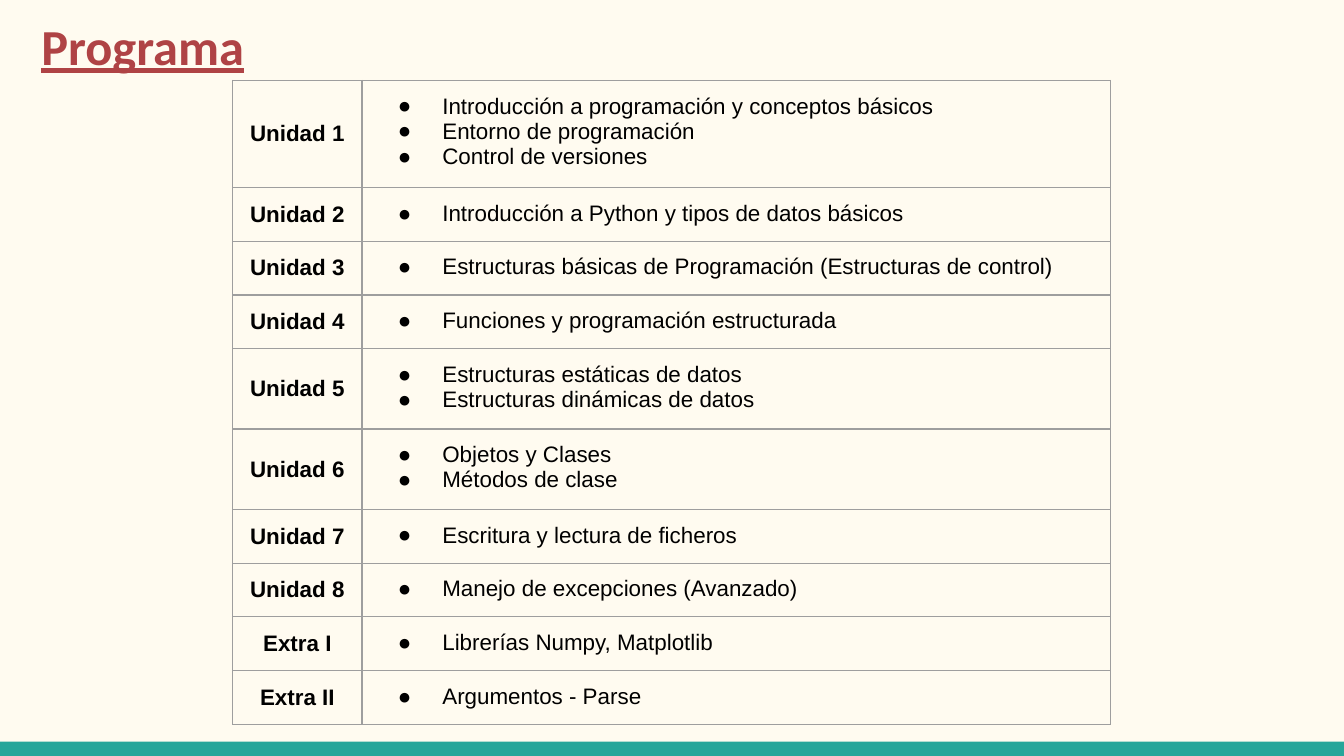
from lxml.etree import SubElement
from pptx import Presentation
from pptx.dml.color import RGBColor
from pptx.enum.shapes import MSO_SHAPE
from pptx.enum.text import MSO_ANCHOR, PP_ALIGN
from pptx.oxml.ns import qn
from pptx.util import Cm, Pt

COLORS = {
    "background": "FFFBF0",
    "band": "26A69A",
    "title": "AF4345",
    "text": "000000",
    "border": "9E9E9E",
}
PROGRAM = [
    ("Unidad 1", ["Introducción a programación y conceptos básicos",
                  "Entorno de programación",
                  "Control de versiones"]),
    ("Unidad 2", ["Introducción a Python y tipos de datos básicos"]),
    ("Unidad 3", ["Estructuras básicas de Programación (Estructuras de control)"]),
    ("Unidad 4", ["Funciones y programación estructurada"]),
    ("Unidad 5", ["Estructuras estáticas de datos", "Estructuras dinámicas de datos"]),
    ("Unidad 6", ["Objetos y Clases", "Métodos de clase"]),
    ("Unidad 7", ["Escritura y lectura de ficheros"]),
    ("Unidad 8", ["Manejo de excepciones (Avanzado)"]),
    ("Extra I", ["Librerías Numpy, Matplotlib"]),
    ("Extra II", ["Argumentos - Parse"]),
]
COLUMN_WIDTHS = [Cm(2.44), Cm(14.15)]
INSET = Cm(0.25)


def add_bullet(paragraph):
    properties = paragraph._p.get_or_add_pPr()
    properties.set("marL", str(Cm(1.27)))
    properties.set("indent", str(-Cm(0.84)))
    color = SubElement(properties, qn("a:buClr"))
    SubElement(color, qn("a:srgbClr"), val=COLORS["text"])
    SubElement(properties, qn("a:buFont"), typeface="Arial")
    SubElement(properties, qn("a:buChar"), char="●")


def add_borders(cell):
    properties = cell._tc.get_or_add_tcPr()
    for side in ("a:lnL", "a:lnR", "a:lnT", "a:lnB"):
        line = SubElement(properties, qn(side), w=str(Pt(0.75)))
        fill = SubElement(line, qn("a:solidFill"))
        SubElement(fill, qn("a:srgbClr"), val=COLORS["border"])


prs = Presentation()
prs.slide_width, prs.slide_height = Cm(25.4), Cm(14.29)
slide = prs.slides.add_slide(prs.slide_layouts[5])
slide.background.fill.solid()
slide.background.fill.fore_color.rgb = RGBColor.from_string(COLORS["background"])

# Title
title = slide.shapes.title
title.left, title.top, title.width, title.height = Cm(0.53), Cm(0), Cm(23.67), Cm(1.7)
frame = title.text_frame
frame.text = "Programa"
frame.vertical_anchor = MSO_ANCHOR.MIDDLE
frame.margin_left = frame.margin_right = frame.margin_top = frame.margin_bottom = INSET
heading = frame.paragraphs[0]
heading.alignment = PP_ALIGN.LEFT
heading.font.name = "Calibri"
heading.font.size = Pt(27)
heading.font.bold = heading.font.underline = True
heading.font.color.rgb = RGBColor.from_string(COLORS["title"])

# Bottom band
band = slide.shapes.add_shape(MSO_SHAPE.RECTANGLE, Cm(0), Cm(14.02), prs.slide_width, Cm(0.27))
band.shadow.inherit = False
band.fill.solid()
band.fill.fore_color.rgb = RGBColor.from_string(COLORS["band"])
band.line.fill.background()

# Programme table: each row grows with its number of topics
row_heights = [Cm(0.51 + 0.505 * len(topics)) for _, topics in PROGRAM]
program = slide.shapes.add_table(len(PROGRAM), 2, Cm(4.4), Cm(1.52),
                                 sum(COLUMN_WIDTHS), sum(row_heights)).table
program.first_row = program.horz_banding = False
for column, width in zip(program.columns, COLUMN_WIDTHS):
    column.width = width

for row, height, (unit, topics) in zip(program.rows, row_heights, PROGRAM):
    row.height = height
    unit_cell, topics_cell = row.cells
    unit_cell.text = unit
    unit_cell.vertical_anchor = MSO_ANCHOR.MIDDLE
    unit_cell.text_frame.paragraphs[0].alignment = PP_ALIGN.CENTER
    topics_cell.text = "\n".join(topics)
    for topic in topics_cell.text_frame.paragraphs:
        add_bullet(topic)

    for cell, bold in ((unit_cell, True), (topics_cell, False)):
        cell.margin_left = cell.margin_right = cell.margin_top = cell.margin_bottom = INSET
        add_borders(cell)
        cell.fill.background()
        for paragraph in cell.text_frame.paragraphs:
            paragraph.font.name = "Arial"
            paragraph.font.size = Pt(12)
            paragraph.font.bold = bold
            paragraph.font.color.rgb = RGBColor.from_string(COLORS["text"])

prs.save("out.pptx")
